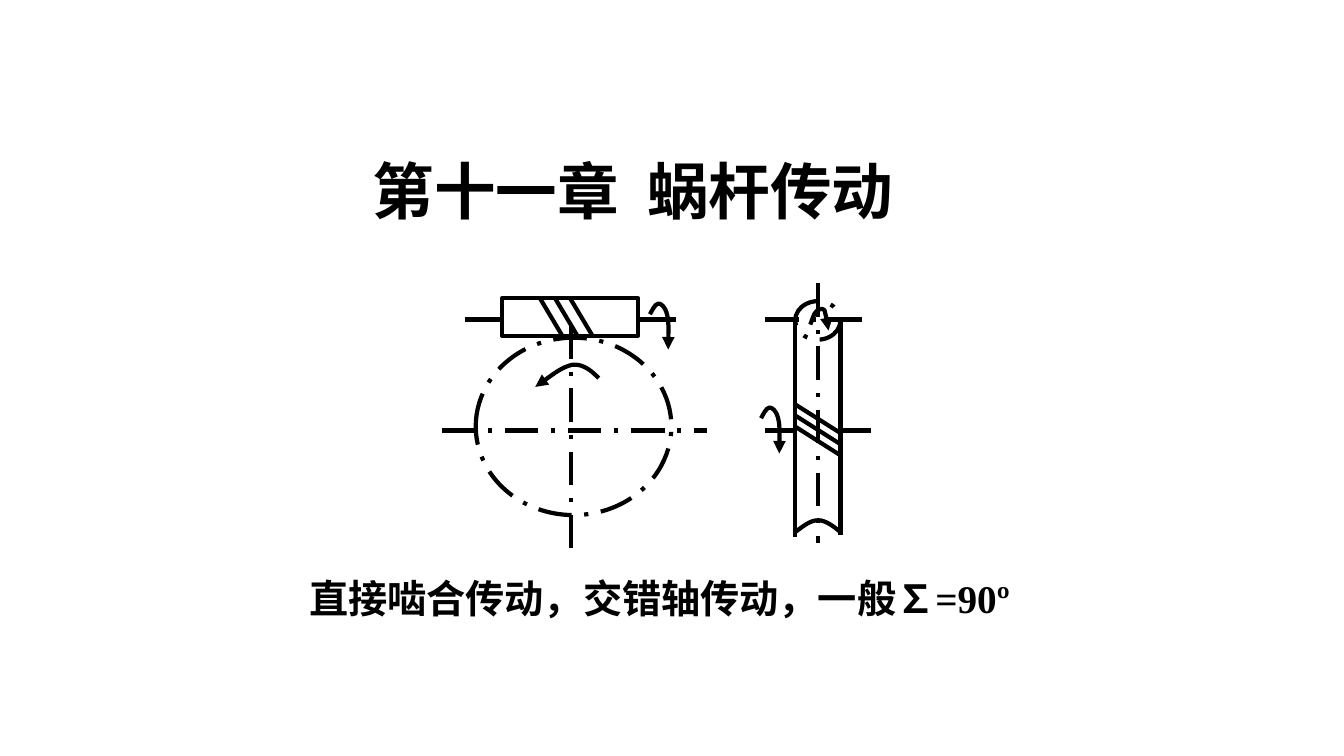
from dataclasses import dataclass

from lxml import etree
from pptx import Presentation
from pptx.dml.color import RGBColor
from pptx.enum.dml import MSO_LINE
from pptx.enum.shapes import MSO_CONNECTOR, MSO_SHAPE
from pptx.enum.text import MSO_ANCHOR
from pptx.oxml.ns import qn
from pptx.util import Cm, Pt

STRAIGHT = MSO_CONNECTOR.STRAIGHT
ELLIPSE = MSO_SHAPE.OVAL
RECTANGLE = MSO_SHAPE.RECTANGLE
CENTRE_DASH = MSO_LINE.LONG_DASH_DOT
MIDDLE = MSO_ANCHOR.MIDDLE


@dataclass(frozen=True)
class Theme:
    ink: RGBColor = RGBColor(0, 0, 0)
    stroke: Pt = Pt(3)
    title_size: Pt = Pt(44)
    caption_size: Pt = Pt(28)
    chinese: str = "Noto Sans CJK SC"
    latin: str = "Times New Roman"


THEME = Theme()

AXLE_SPIN = [(0, 0), (0.03, -0.05), (0.13, -0.27), (0.21, -0.27), (0.28, -0.27),
             (0.38, -0.2), (0.43, 0), (0.48, 0.2), (0.46, 0.72), (0.46, 0.89)]
WHEEL_SPIN = [(15.09, 9.53), (14.91, 9.35), (14.71, 9.17), (14.43, 9.19),
              (14.17, 9.25), (13.84, 9.5), (13.49, 9.75)]
WORM_END_SPIN = [(20.42, 8.18), (20.45, 8.13), (20.5, 7.9), (20.57, 7.85), (20.62, 7.8),
                 (20.73, 7.75), (20.78, 7.82), (20.83, 7.92), (20.85, 8.23), (20.88, 8.33)]
WHEEL_RIM = [(20.04, 13.41), (20.24, 13.26), (20.42, 13.11), (20.62, 13.11),
             (20.8, 13.11), (21.01, 13.26), (21.18, 13.41)]


def ink_line(drawn, dash=None):
    drawn.line.color.rgb = THEME.ink
    drawn.line.width = THEME.stroke
    if dash is not None:
        drawn.line.dash_style = dash


def add_stroke(drawing, x1, y1, x2, y2, dash=None):
    stroke = drawing.shapes.add_connector(STRAIGHT, Cm(x1), Cm(y1), Cm(x2), Cm(y2))
    ink_line(stroke, dash)
    etree.SubElement(stroke._element.spPr, qn("a:effectLst"))


def add_parallel_strokes(drawing, x1, y1, x2, y2, step_x, step_y):
    for i in range(3):
        dx, dy = i * step_x, i * step_y
        add_stroke(drawing, x1 + dx, y1 + dy, x2 + dx, y2 + dy)


def add_outline(drawing, kind, left, top, width, height, dash=None):
    outline = drawing.shapes.add_shape(kind, Cm(left), Cm(top), Cm(width), Cm(height))
    outline.fill.background()
    outline.shadow.inherit = False
    ink_line(outline, dash)


def add_curve(drawing, points, arrow=False):
    start, *rest = [(Cm(x), Cm(y)) for x, y in points]
    builder = drawing.shapes.build_freeform(*start)
    builder.add_line_segments(rest, close=False)
    curve = builder.convert_to_shape()
    curve.fill.background()
    curve.shadow.inherit = False
    ink_line(curve)
    outline = curve._element.find(".//" + qn("a:path"))
    segments = outline.findall(qn("a:lnTo"))
    for i in range(0, len(segments), 3):
        bezier = etree.SubElement(outline, qn("a:cubicBezTo"))
        for segment in segments[i:i + 3]:
            bezier.append(segment[0])
            outline.remove(segment)
    if arrow:
        etree.SubElement(curve.line._get_or_add_ln(), qn("a:tailEnd"), type="triangle")


def add_axle_spin(drawing, x, y):
    add_curve(drawing, [(x + dx, y + dy) for dx, dy in AXLE_SPIN], arrow=True)


def add_text(slide, left, top, width, height, runs, size, latin):
    frame = slide.shapes.add_textbox(Cm(left), Cm(top), Cm(width), Cm(height)).text_frame
    frame.word_wrap = True
    frame.vertical_anchor = MIDDLE
    paragraph = frame.paragraphs[0]
    for words, spacing in runs:
        run = paragraph.add_run()
        run.text = words
        run.font.size = size
        run.font.bold = True
        run.font.color.rgb = THEME.ink
        run.font.name = latin
        properties = run._r.get_or_add_rPr()
        etree.SubElement(properties, qn("a:ea"), typeface=THEME.chinese)
        if spacing:
            properties.set("spc", str(spacing))


def draw_front_view(drawing):
    add_stroke(drawing, 11.13, 10.85, 17.81, 10.85, CENTRE_DASH)
    add_stroke(drawing, 14.38, 8.2, 14.38, 13.92, CENTRE_DASH)
    add_outline(drawing, ELLIPSE, 11.99, 8.51, 4.93, 4.47, CENTRE_DASH)
    add_outline(drawing, RECTANGLE, 12.65, 7.52, 3.43, 0.94)
    add_parallel_strokes(drawing, 13.61, 7.52, 14.17, 8.46, 0.38, 0)
    for start, end in ((16.08, 17.04), (11.71, 12.65)):
        add_stroke(drawing, start, 8.05, end, 8.05)
    add_curve(drawing, WHEEL_SPIN, arrow=True)
    add_axle_spin(drawing, 16.38, 7.92)


def draw_side_view(drawing):
    add_stroke(drawing, 19.28, 8.05, 21.95, 8.05, CENTRE_DASH)
    add_stroke(drawing, 20.62, 7.14, 20.62, 13.69, CENTRE_DASH)
    for start, end in ((19.28, 20.04), (21.18, 21.95)):
        add_stroke(drawing, start, 10.85, end, 10.85)
    add_axle_spin(drawing, 19.18, 10.54)
    for side, bottom in ((20.04, 13.54), (21.18, 13.49)):
        add_stroke(drawing, side, 8.08, side, bottom)
    add_curve(drawing, WORM_END_SPIN, arrow=True)
    add_outline(drawing, ELLIPSE, 20.04, 7.59, 1.14, 0.97, CENTRE_DASH)
    add_curve(drawing, WHEEL_RIM)
    add_parallel_strokes(drawing, 20.04, 10.19, 21.16, 10.9, 0, 0.28)


def main():
    deck = Presentation()
    deck.slide_width, deck.slide_height = Cm(33.87), Cm(19.05)
    slide = deck.slides.add_slide(deck.slide_layouts[6])
    add_text(slide, 9.14, 3.73, 16.08, 2.11,
             [("第十一章", 0), (" ", 1000), ("蜗杆传动", 0)],
             THEME.title_size, THEME.chinese)
    worm_drive = slide.shapes.add_group_shape()
    draw_front_view(worm_drive)
    draw_side_view(worm_drive)
    add_text(slide, 7.54, 14.33, 19.25, 1.45,
             [("直接啮合传动，交错轴传动，一般∑=90º", 0)],
             THEME.caption_size, THEME.latin)
    deck.save("out.pptx")


if __name__ == "__main__":
    main()
